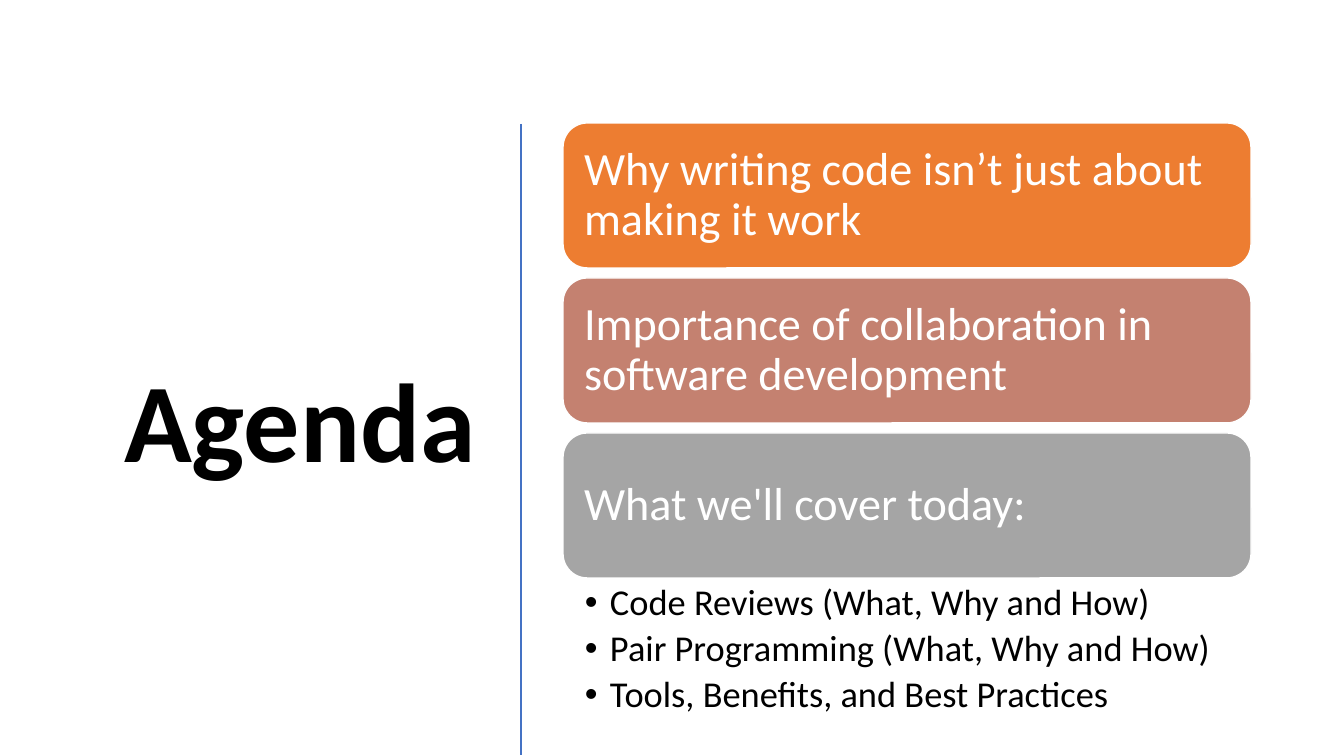
from lxml import etree
from pptx import Presentation
from pptx.dml.color import RGBColor
from pptx.enum.shapes import MSO_CONNECTOR, MSO_SHAPE
from pptx.enum.text import MSO_ANCHOR as ANCHOR, PP_ALIGN as ALIGN
from pptx.oxml.ns import qn
from pptx.util import Pt

PX = 914400 / 100.8
SLIDE_WIDTH, SLIDE_HEIGHT = 1344, 756

BLACK = RGBColor(0x00, 0x00, 0x00)
WHITE = RGBColor(0xFF, 0xFF, 0xFF)
BLUE = RGBColor(0x44, 0x72, 0xC4)
ORANGE = RGBColor(0xED, 0x7D, 0x31)
ROSE = RGBColor(0xC4, 0x81, 0x70)
GRAY = RGBColor(0xA5, 0xA5, 0xA5)

CARDS = [
    ("Why writing code isn’t just about making it work", ORANGE),
    ("Importance of collaboration in software development", ROSE),
    ("What we'll cover today:", GRAY),
]
TOPICS = [
    "Code Reviews (What, Why and How)",
    "Pair Programming (What, Why and How)",
    "Tools, Benefits, and Best Practices",
]


def px(*lengths):
    return [round(length * PX) for length in lengths]


def set_attributes(target, values):
    for name, value in values.items():
        setattr(target, name, value)


def write_text(shape, lines, font, paragraph_format, margins, anchor):
    """Fill a shape with paragraphs; margins are left, top, right, bottom."""
    frame = shape.text_frame
    left, top, right, bottom = px(*margins)
    set_attributes(frame, {
        "word_wrap": True, "vertical_anchor": anchor,
        "margin_left": left, "margin_top": top,
        "margin_right": right, "margin_bottom": bottom,
    })
    for index, line in enumerate(lines):
        paragraph = frame.add_paragraph() if index else frame.paragraphs[0]
        set_attributes(paragraph, {"line_spacing": 0.9, **paragraph_format})
        run = paragraph.add_run()
        run.text = line
        color = font["color"]
        set_attributes(run.font, {"name": "Calibri", "size": Pt(font["size"]),
                                  "bold": font.get("bold", False)})
        run.font.color.rgb = color
    return frame


def add_title(slide, left, top, width, height):
    box = slide.shapes.add_textbox(*px(left, top, width, height))
    write_text(box, ["Agenda"], {"size": 80, "color": BLACK, "bold": True},
               {"alignment": ALIGN.RIGHT}, (10, 5, 10, 5), ANCHOR.MIDDLE)


def add_divider(slide, x, top, bottom):
    line = slide.shapes.add_connector(MSO_CONNECTOR.STRAIGHT,
                                      *px(x, top, x, bottom))
    line.line.color.rgb = BLUE
    line.line.width = Pt(2)
    etree.SubElement(line._element.spPr, qn("a:effectLst"))


def add_cards(slide, left, top, width, height, gap):
    for index, (text, color) in enumerate(CARDS):
        card_top = top + index * (height + gap)
        card = slide.shapes.add_shape(MSO_SHAPE.ROUNDED_RECTANGLE,
                                      *px(left, card_top, width, height))
        card.shadow.inherit = False
        card.fill.solid()
        card.fill.fore_color.rgb = color
        card.line.color.rgb = WHITE
        card.line.width = Pt(1)
        write_text(card, [text], {"size": 33, "color": WHITE},
                   {"alignment": ALIGN.LEFT}, (14, 14, 14, 14), ANCHOR.MIDDLE)


def add_topics(slide, left, top, width, height):
    box = slide.shapes.add_textbox(*px(left, top, width, height))
    frame = write_text(box, TOPICS, {"size": 26, "color": BLACK},
                       {"alignment": ALIGN.LEFT, "space_after": Pt(5)},
                       (22, 5, 26, 5), ANCHOR.TOP)
    # Hanging bullets
    indent = px(25)[0]
    for paragraph in frame.paragraphs:
        properties = paragraph._p.get_or_add_pPr()
        properties.set("marL", str(indent))
        properties.set("indent", str(-indent))
        etree.SubElement(properties, qn("a:buFont")).set("typeface", "Arial")
        etree.SubElement(properties, qn("a:buChar")).set("char", "•")


def add_agenda_slide(presentation):
    slide = presentation.slides.add_slide(presentation.slide_layouts[6])
    # Left side: title and divider
    add_title(slide, 52, 118, 434, 616)
    add_divider(slide, 521, 124, 755)
    # Right side: cards and the list below them
    add_cards(slide, 563, 123, 688, 145, 10)
    add_topics(slide, 563, 579, 688, 150)


def main():
    presentation = Presentation()
    width, height = px(SLIDE_WIDTH, SLIDE_HEIGHT)
    set_attributes(presentation, {"slide_width": width, "slide_height": height})
    add_agenda_slide(presentation)
    presentation.save("out.pptx")


if __name__ == "__main__":
    main()
